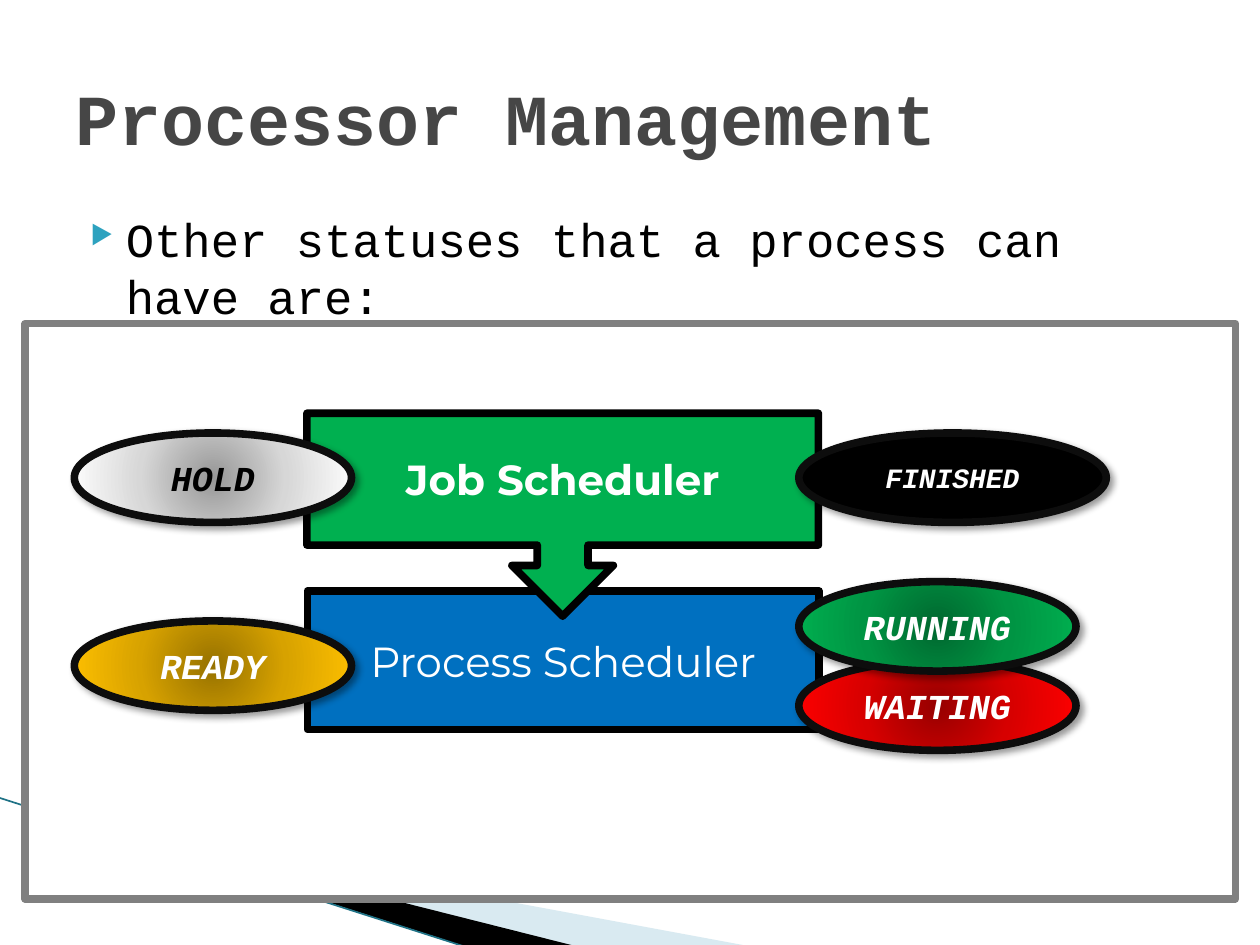
from dataclasses import dataclass

from pptx import Presentation
from pptx.dml.color import RGBColor
from pptx.enum.shapes import MSO_CONNECTOR, MSO_SHAPE
from pptx.enum.text import MSO_ANCHOR, PP_ALIGN
from pptx.oxml import parse_xml
from pptx.oxml.ns import nsdecls, qn
from pptx.util import Pt

COLORS = {
    "white": "FFFFFF", "black": "000000", "ink": "0D0D0D", "title": "464646",
    "frame": "808080", "blue": "0070C0", "green": "00B050", "pale": "A0CBDC",
    "teal": "1F7286", "bullet": "2DA2BF",
}
MONO, SANS = "Courier New", "Montserrat"
EDGE = 4.33


@dataclass
class Style:
    font: str
    size: float
    color: str = "white"
    bold: bool = False
    slant: bool = False


@dataclass
class State:
    label: str
    left: float
    top: float
    shades: tuple = ()
    color: str = "white"
    width: float = 158.4
    size: float = 20


STATES = [
    State("HOLD", 42.5, 247.4, ("979797", "D7D7D7", "FFFFFF"), "black"),
    State("WAITING", 456.5, 377.7, ("970000", "D70000", "FF0000")),
    State("READY", 42.5, 354.8, ("977200", "D7A200", "FFC000")),
    State("RUNNING", 456.5, 332.4, ("00682F", "009443", "00B050")),
    State("FINISHED", 456.5, 247.4, width=175.7, size=16),
]


def paint(name: str) -> RGBColor:
    return RGBColor.from_string(COLORS[name])


def make(tag: str, attrs: str = "", inner: str = ""):
    return parse_xml(f'<a:{tag} {nsdecls("a")} {attrs}>{inner}</a:{tag}>')


def write(frame, text: str, style: Style, align=PP_ALIGN.CENTER,
          anchor=MSO_ANCHOR.MIDDLE) -> None:
    frame.text = text
    frame.word_wrap = True
    frame.vertical_anchor = anchor
    line = frame.paragraphs[0]
    line.alignment = align
    font = line.runs[0].font
    font.name, font.size = style.font, Pt(style.size)
    font.bold, font.italic = style.bold, style.slant
    font.color.rgb = paint(style.color)


def add_box(slide, kind, box: tuple, fill: str, edge: str):
    shape = slide.shapes.add_shape(kind, *map(Pt, box))
    shape.shadow.inherit = False
    shape.fill.solid()
    shape.fill.fore_color.rgb = paint(fill)
    shape.line.color.rgb = paint(edge)
    shape.line.width = Pt(EDGE)
    shape.line._ln.append(make("round"))
    return shape


def add_state(slide, state: State) -> None:
    box = (state.left, state.top, state.width, 51.1)
    shape = add_box(slide, MSO_SHAPE.OVAL, box, "black", "ink")
    props = shape._element.spPr
    if state.shades:
        stops = "".join(
            f'<a:gs pos="{i * 50000}"><a:srgbClr val="{shade}"/></a:gs>'
            for i, shade in enumerate(state.shades))
        center = '<a:fillToRect l="50000" t="50000" r="50000" b="50000"/>'
        blend = make("gradFill", 'rotWithShape="1"',
                     f'<a:gsLst>{stops}</a:gsLst>'
                     f'<a:path path="circle">{center}</a:path>')
        props.replace(props.find(qn("a:solidFill")), blend)
    props.find(qn("a:effectLst")).append(make(
        "outerShdw",
        f'blurRad="{Pt(4)}" dist="{Pt(3)}" dir="2700000" rotWithShape="0"',
        '<a:srgbClr val="000000"><a:alpha val="40000"/></a:srgbClr>'))
    write(shape.text_frame, state.label,
          Style(MONO, state.size, state.color, True, True))


def add_wedge(slide, points: list, color: str, alpha: int = 100) -> None:
    first, *rest = [(Pt(x), Pt(y)) for x, y in points]
    path = slide.shapes.build_freeform(*first, scale=1.0)
    path.add_line_segments(rest, close=True)
    shape = path.convert_to_shape()
    shape.shadow.inherit = False
    shape.line.fill.background()
    shape.fill.solid()
    shape.fill.fore_color.rgb = paint(color)
    if alpha < 100:
        tint = shape._element.spPr.find(qn("a:solidFill"))[0]
        tint.append(make("alpha", f'val="{alpha * 1000}"'))


def add_text(slide, box: tuple, text: str, style: Style, anchor):
    frame = slide.shapes.add_textbox(*map(Pt, box)).text_frame
    write(frame, text, style, PP_ALIGN.LEFT, anchor)
    return frame.paragraphs[0]


def main() -> None:
    deck = Presentation()
    deck.slide_width, deck.slide_height = Pt(720), Pt(540)
    slide = deck.slides.add_slide(deck.slide_layouts[6])

    # Corner wedges and thin line
    add_wedge(slide, [(39.6, 468.7), (428.4, 540.7), (328.3, 540.7),
                      (39.6, 468)], "pale", 40)
    add_wedge(slide, [(38.2, 467.3), (329, 540.7), (267.8, 541.4),
                      (38.9, 468)], "black")
    line = slide.shapes.add_connector(
        MSO_CONNECTOR.STRAIGHT, Pt(-0.7), Pt(455.8), Pt(267.1), Pt(541.4))
    line.line.color.rgb = paint("teal")
    line.line.width = Pt(0.95)
    line._element.spPr.append(make("effectLst"))

    # Framed panel
    add_box(slide, MSO_SHAPE.RECTANGLE, (14.4, 185, 691.5, 328.7),
            "white", "frame")

    # Bullet and title
    body = add_text(slide, (36, 116.6, 648, 356.4),
                    "Other statuses that a process can have are:",
                    Style(MONO, 27, "black"), MSO_ANCHOR.TOP)
    props = body._p.get_or_add_pPr()
    props.set("marL", str(Pt(28.8)))
    props.set("indent", str(Pt(-20.2)))
    props.append(make("buClr", "", f'<a:srgbClr val="{COLORS["bullet"]}"/>'))
    props.append(make("buSzPct", 'val="55000"'))
    props.append(make("buChar", 'char="▶"'))
    add_text(slide, (36, 21.6, 648, 90), "Processor Management",
             Style(MONO, 41, "title", True), MSO_ANCHOR.MIDDLE)

    # Schedulers
    lower = add_box(slide, MSO_SHAPE.RECTANGLE, (175.7, 337.7, 292.3, 79.2),
                    "blue", "black")
    write(lower.text_frame, "Process Scheduler", Style(SANS, 24))
    upper = add_box(slide, MSO_SHAPE.RIGHT_ARROW_CALLOUT,
                    (263.5, 148, 116, 292.3), "green", "black")
    upper.rotation = 90
    write(upper.text_frame, "Job Scheduler", Style(SANS, 24, bold=True))
    upper.text_frame._txBody.bodyPr.set("vert", "vert270")

    # Process states
    for state in STATES:
        add_state(slide, state)

    deck.save("out.pptx")


if __name__ == "__main__":
    main()
